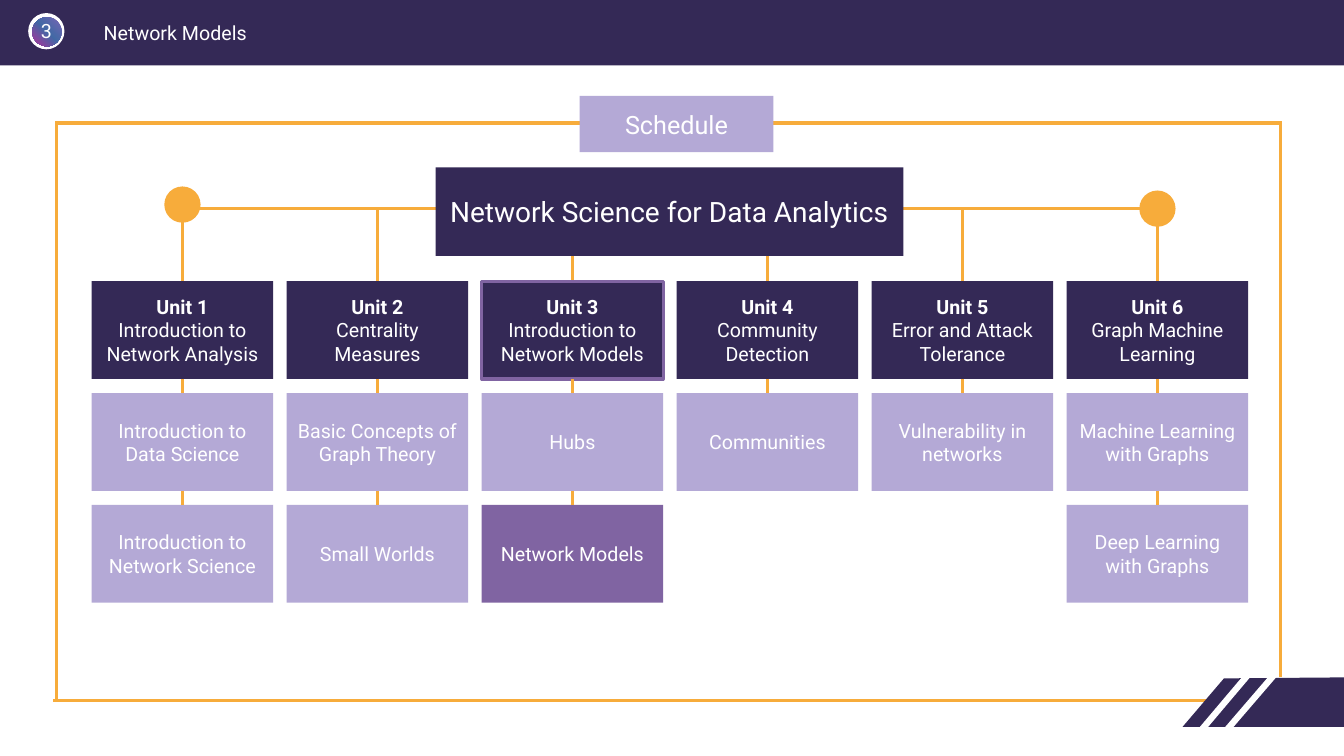
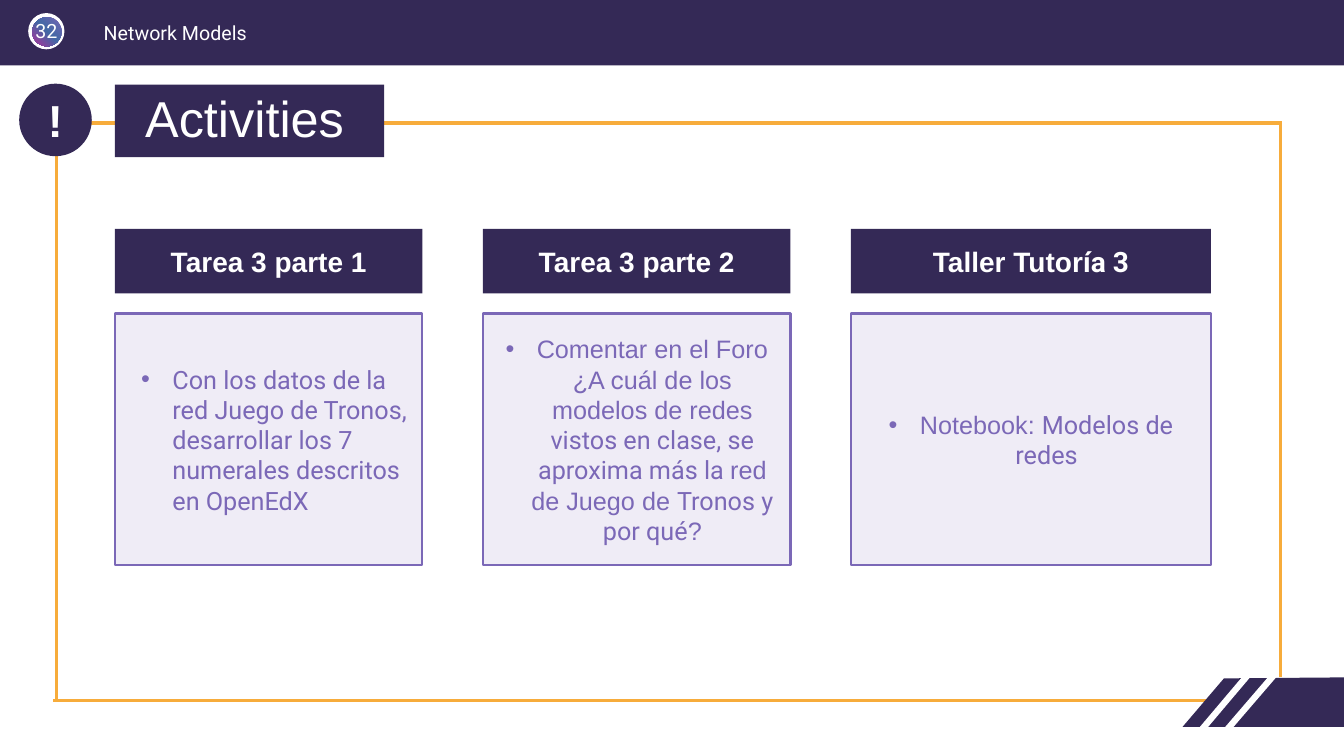
from dataclasses import dataclass
from typing import NamedTuple

from lxml import etree
from pptx import Presentation
from pptx.dml.color import RGBColor
from pptx.enum.shapes import MSO_CONNECTOR, MSO_SHAPE
from pptx.enum.text import MSO_ANCHOR, MSO_AUTO_SIZE, PP_ALIGN
from pptx.oxml.ns import qn
from pptx.util import Inches, Pt

RECT, OVAL = MSO_SHAPE.RECTANGLE, MSO_SHAPE.OVAL
STRAIGHT = MSO_CONNECTOR.STRAIGHT
LEFT, CENTER = PP_ALIGN.LEFT, PP_ALIGN.CENTER
TOP, MIDDLE = MSO_ANCHOR.TOP, MSO_ANCHOR.MIDDLE
NO_FIT = MSO_AUTO_SIZE.NONE
TOP_SIDE, BOTTOM_SIDE = 0, 2

SLIDE_W, SLIDE_H = 13.33, 7.5
TITLE_ONLY, COMPARISON = 5, 4
COLORS = {
    "navy": "342956", "lilac": "B4A9D6", "violet": "8064A2", "orange": "F7AC3B",
    "white": "FFFFFF", "card": "EFECF6", "purple": "7B68B7",
}
BADGE_STOPS = ((0, "7864B5"), (49, "4269A5"), (100, "B2329A"))
ROBOTO, ARIAL = "Roboto", "Arial"


class Box(NamedTuple):
    x: float
    y: float
    w: float
    h: float

    @property
    def center_x(self) -> float:
        return self.x + self.w / 2


class Run(NamedTuple):
    text: str
    font: str = ROBOTO
    bold: bool = False


@dataclass(frozen=True)
class Grid:
    left: float
    top: float
    col_w: float
    row_h: float
    gap_x: float
    gap_y: float = 0

    def cell(self, col: int, row: int = 0, extra_w: float = 0) -> Box:
        return Box(self.left + col * (self.col_w + self.gap_x),
                   self.top + row * (self.row_h + self.gap_y),
                   self.col_w + extra_w, self.row_h)


class Unit(NamedTuple):
    name: str
    subject: list[str]
    topics: list[list[str]]


class Activity(NamedTuple):
    heading: list[Run]
    task: list[Run]
    align: PP_ALIGN = CENTER
    margin: float = 0.31
    extra_w: float = 0


SCHEDULE_GRID = Grid(0.91, 2.79, 1.8, 0.97, (12.38 - 0.91 - 6 * 1.8) / 5, 0.14)
HEADING_GRID = Grid(1.14, 2.27, 3.05, 0.64, 0.6)
TASK_GRID = Grid(1.14, 3.11, 3.05, 2.5, 0.6)
RAIL_Y = 2.07
CURRENT_UNIT, CURRENT_TOPIC = "Unit 3", ["Network Models"]

UNITS = [
    Unit("Unit 1", ["Introduction to Network Analysis"],
         [["Introduction to", "Data Science"], ["Introduction to Network Science"]]),
    Unit("Unit 2", ["Centrality", "Measures"],
         [["Basic Concepts of Graph Theory"], ["Small Worlds"]]),
    Unit("Unit 3", ["Introduction to Network Models"], [["Hubs"], CURRENT_TOPIC]),
    Unit("Unit 4", ["Community Detection"], [["Communities"]]),
    Unit("Unit 5", ["Error and Attack Tolerance"], [["Vulnerability in networks"]]),
    Unit("Unit 6", ["Graph Machine Learning"],
         [["Machine Learning with Graphs"], ["Deep Learning with Graphs"]]),
]
ACTIVITIES = [
    Activity([Run("Tarea 3 parte 1", ARIAL, True)],
             [Run("Con los datos de la red Juego de Tronos, desarrollar los 7 "
                  "numerales descritos en OpenEdX")], LEFT, 0.47),
    Activity([Run("Tarea 3 parte 2", ARIAL, True)],
             [Run("Comentar en el Foro ¿A ", ARIAL), Run("c"),
              Run("uál de los modelos de redes ", ARIAL),
              Run("vistos en clase, se aproxima más la "),
              Run("red de Juego de ", ARIAL), Run("Tronos y por qué"), Run("?", ARIAL)]),
    Activity([Run("Taller Tutor", ARIAL, True), Run("ía 3", ROBOTO, True)],
             [Run("Notebook: ", ARIAL), Run("Modelos de redes")], extra_w=0.52),
]


def rgb(name: str) -> RGBColor:
    return RGBColor.from_string(COLORS[name])


def add_bullet(p, margin: float, color: str) -> None:
    pPr = p._p.get_or_add_pPr()
    pPr.set("marL", str(Inches(margin)))
    pPr.set("indent", str(Inches(-0.31)))
    clr = etree.SubElement(pPr, qn("a:buClr"))
    etree.SubElement(clr, qn("a:srgbClr"), val=COLORS[color])
    etree.SubElement(pPr, qn("a:buFont"), typeface=ARIAL)
    etree.SubElement(pPr, qn("a:buChar"), char="•")


def write(sp, *paragraphs: list[Run], size: float = 14, color: str = "white",
          align: PP_ALIGN = CENTER, anchor: MSO_ANCHOR = MIDDLE,
          insets: tuple = (0.1, 0.05, 0.1, 0.05), spacing: float = 1,
          bullet_margin: float = 0) -> None:
    tf = sp.text_frame
    tf.word_wrap, tf.auto_size, tf.vertical_anchor = True, NO_FIT, anchor
    tf.margin_left, tf.margin_top, tf.margin_right, tf.margin_bottom = map(Inches, insets)
    for i, runs in enumerate(paragraphs):
        p = tf.add_paragraph() if i else tf.paragraphs[0]
        if bullet_margin:
            add_bullet(p, bullet_margin, color)
        p.alignment, p.line_spacing, p.space_before = align, spacing, Pt(0)
        for run in runs:
            r = p.add_run()
            r.text = run.text
            r.font.name, r.font.size, r.font.bold = run.font, Pt(size), run.bold
            r.font.color.rgb = rgb(color)


def paint(sp, fill: str, line: str | None = None, width: float = 0) -> None:
    sp.shadow.inherit = False
    sp.fill.solid()
    sp.fill.fore_color.rgb = rgb(fill)
    if line:
        sp.line.color.rgb = rgb(line)
        sp.line.width = Pt(width)
    else:
        sp.line.fill.background()


def add_shape(slide, kind: MSO_SHAPE, box: Box, fill: str,
              line: str | None = None, width: float = 0):
    sp = slide.shapes.add_shape(kind, *map(Inches, box))
    paint(sp, fill, line, width)
    return sp


def add_text(slide, box: Box, text: str, **fmt) -> None:
    write(slide.shapes.add_textbox(*map(Inches, box)), [Run(text)], anchor=TOP, **fmt)


def add_line(slide, x1: float, y1: float, x2: float, y2: float,
             color: str = "orange", width: float = 2.25):
    cxn = slide.shapes.add_connector(STRAIGHT, *map(Inches, (x1, y1, x2, y2)))
    cxn.line.color.rgb = rgb(color)
    cxn.line.width = Pt(width)
    etree.SubElement(cxn._element.spPr, qn("a:effectLst"))
    return cxn


def place(sp, box: Box, fill: str, line: str | None = None, width: float = 0):
    """Move a placeholder to a box, above what is drawn so far."""
    sp.left, sp.top, sp.width, sp.height = map(Inches, box)
    sp._element.getparent().append(sp._element)
    paint(sp, fill, line, width)
    return sp


def add_badge(slide, number: str) -> None:
    add_shape(slide, OVAL, Box(0.28, 0.13, 0.36, 0.36), "white")
    disc = add_shape(slide, OVAL, Box(0.32, 0.17, 0.29, 0.29), "purple")
    disc.fill.gradient()
    grad = disc._element.spPr.find(qn("a:gradFill"))
    grad.find(qn("a:lin")).set("ang", str(135 * 60000))
    stops = grad.find(qn("a:gsLst"))
    stops.clear()
    for percent, value in BADGE_STOPS:
        stop = etree.SubElement(stops, qn("a:gs"), pos=str(percent * 1000))
        etree.SubElement(stop, qn("a:srgbClr"), val=value)
    add_text(slide, Box(0.28, 0.19, 0.36, 0.24), number, insets=(0, 0, 0, 0))


def add_corner(slide) -> None:
    """Draw the slanted navy corner with its two white stripes."""
    outline = [(12.14, 6.73), (SLIDE_W, 6.72), (SLIDE_W, 7.21), (11.73, 7.21)]
    points = [(Inches(x), Inches(y)) for x, y in outline]
    fb = slide.shapes.build_freeform(*points[0])
    fb.add_line_segments(points[1:], close=True)
    paint(fb.convert_to_shape(), "navy")
    for ends in ((11.85, 7.32, 12.45, 6.61), (12.1, 7.32, 12.65, 6.68)):
        add_line(slide, *ends, color="white", width=4.5)


def new_slide(prs, layout: int, number: str):
    """Add a slide with the shared band, badge, frame and corner."""
    slide = prs.slides.add_slide(prs.slide_layouts[layout])
    add_shape(slide, RECT, Box(0, 0, SLIDE_W, 0.65), "navy")
    add_badge(slide, number)
    add_text(slide, Box(0.93, 0.16, 5.61, 0.3), "Network Models", align=LEFT)
    for ends in ((12.7, 6.72, 12.7, 1.2), (0.56, 6.95, 0.56, 1.2),
                 (0.53, 6.95, 12.1, 6.95), (0.56, 1.22, 12.7, 1.22)):
        add_line(slide, *ends)
    add_corner(slide)
    return slide


def add_unit(slide, col: int, unit: Unit) -> None:
    """Draw one column: the unit, its topics and the lines joining them."""
    box = SCHEDULE_GRID.cell(col)
    stem = add_line(slide, box.center_x, RAIL_Y, box.center_x, box.y)
    border = "violet" if unit.name == CURRENT_UNIT else None
    above = add_shape(slide, RECT, box, "navy", border, 2.25)
    write(above, [Run(unit.name, bold=True)], *([Run(text)] for text in unit.subject))
    stem.end_connect(above, TOP_SIDE)
    for row, topic in enumerate(unit.topics, start=1):
        fill = "violet" if topic == CURRENT_TOPIC else "lilac"
        sp = add_shape(slide, RECT, SCHEDULE_GRID.cell(col, row), fill)
        write(sp, *([Run(text)] for text in topic))
        link = add_line(slide, 0, 0, 0, 0)
        link.begin_connect(above, BOTTOM_SIDE)
        link.end_connect(sp, TOP_SIDE)
        above = sp


def build_schedule(prs) -> None:
    slide = new_slide(prs, TITLE_ONLY, "3")
    title = place(slide.shapes.title, Box(5.75, 0.95, 1.92, 0.56), "lilac")
    write(title, [Run("Schedule")], size=18)
    first, last = (SCHEDULE_GRID.cell(col).center_x for col in (0, len(UNITS) - 1))
    add_line(slide, first, RAIL_Y, last, RAIL_Y)
    for col, unit in enumerate(UNITS):
        add_unit(slide, col, unit)
    for x, y in ((first, 1.85), (last, 1.89)):
        add_shape(slide, OVAL, Box(x - 0.18, y, 0.36, 0.36), "orange")
    banner = add_shape(slide, RECT, Box(4.32, 1.66, 4.64, 0.88), "navy")
    write(banner, [Run("Network Science for Data Analytics")], size=20)


def build_activities(prs) -> None:
    slide = new_slide(prs, COMPARISON, "32")
    mark = add_shape(slide, OVAL, Box(0.19, 0.83, 0.72, 0.72), "navy")
    write(mark, [Run("!", ARIAL, True)], size=32)
    title = place(slide.shapes.title, Box(1.14, 0.84, 2.67, 0.72), "navy")
    write(title, [Run("Activities", ARIAL)], size=36, align=LEFT, spacing=0.9,
          insets=(0.3, 0.05, 0.1, 0.05))
    _, *bodies = list(slide.placeholders)
    for col, (activity, body) in enumerate(zip(ACTIVITIES, bodies)):
        heading = add_shape(slide, RECT, HEADING_GRID.cell(col, extra_w=activity.extra_w), "navy")
        write(heading, activity.heading, size=20)
        place(body, TASK_GRID.cell(col, extra_w=activity.extra_w), "card", "purple", 1.5)
        write(body, activity.task, size=18, color="purple", align=activity.align,
              bullet_margin=activity.margin)
    for spare in bodies[len(ACTIVITIES):]:
        spare._element.getparent().remove(spare._element)


def main() -> None:
    prs = Presentation()
    prs.slide_width, prs.slide_height = Inches(SLIDE_W), Inches(SLIDE_H)
    build_schedule(prs)
    build_activities(prs)
    prs.save("out.pptx")


if __name__ == "__main__":
    main()
